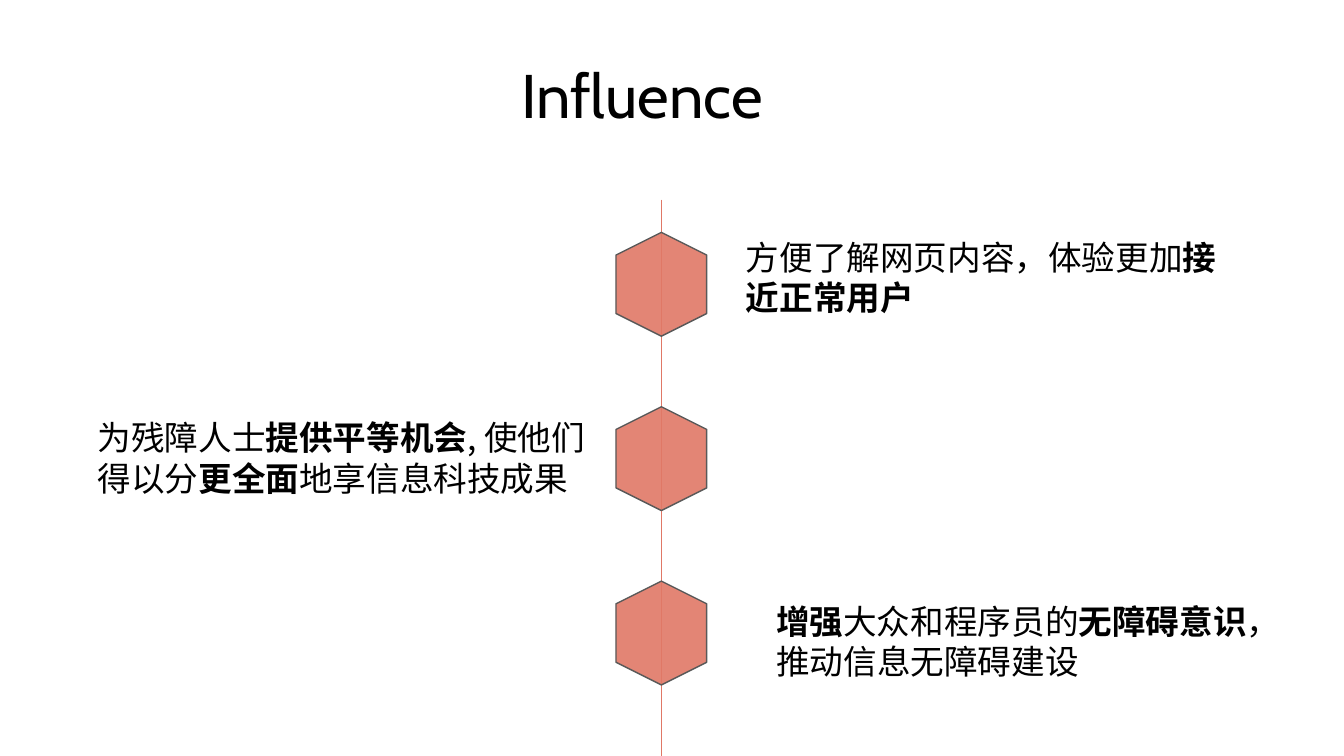
import pptx
import pptx.dml.color
import pptx.enum.shapes
import pptx.enum.text
import pptx.oxml.ns
import pptx.util
from lxml import etree
from pptx.util import Inches

CORAL = "E07866"
GREY = "595959"
BLACK = "000000"
CJK = "Noto Sans CJK SC"


def rgb(value):
    """Turn a hex string into a colour."""
    return pptx.dml.color.RGBColor.from_string(value)


def add_child(parent, tag, **attrs):
    """Append a drawing element to an XML parent."""
    return etree.SubElement(parent, pptx.oxml.ns.qn(tag), **attrs)


def add_text(s, box, runs, size=24, font=CJK, color=BLACK):
    """Add a wrapped text box made of (text, bold) runs."""
    sp = s.shapes.add_textbox(*map(Inches, box))
    tf = sp.text_frame
    tf.word_wrap = True
    tf.auto_size = pptx.enum.text.MSO_AUTO_SIZE.SHAPE_TO_FIT_TEXT
    p = tf.paragraphs[0]
    for text, bold in runs:
        r = p.add_run()
        r.text = text
        r.font.size = pptx.util.Pt(size)
        r.font.bold = bold
        r.font.name = font
        r.font.color.rgb = rgb(color)
        add_child(r.font._element, "a:ea", typeface=font)
    return sp


def add_hexagon(s, center_x, center_y, width=1.03, height=0.9):
    """Add an upright, slightly transparent hexagon around a centre."""
    sp = s.shapes.add_shape(
        pptx.enum.shapes.MSO_SHAPE.HEXAGON,
        Inches(center_x - width / 2), Inches(center_y - height / 2),
        Inches(width), Inches(height))
    sp.rotation = 270
    sp.shadow.inherit = False
    sp.fill.solid()
    sp.fill.fore_color.rgb = rgb(CORAL)
    color = sp.fill._xPr.find(".//" + pptx.oxml.ns.qn("a:srgbClr"))
    add_child(color, "a:alpha", val="90000")
    sp.line.color.rgb = rgb(GREY)
    sp.line.width = pptx.util.Pt(1)


def add_timeline(s, x, top, bottom, count, first=0.84, step=1.73):
    """Add the vertical line and its evenly spaced hexagons."""
    line = s.shapes.add_connector(
        pptx.enum.shapes.MSO_CONNECTOR.STRAIGHT,
        Inches(x), Inches(top), Inches(x), Inches(bottom))
    line.line.color.rgb = rgb(CORAL)
    line.line.width = pptx.util.Pt(1.25)
    add_child(line._element.spPr, "a:effectLst")
    for i in range(count):
        add_hexagon(s, x, top + first + i * step)


def build_influence(prs):
    """Build the slide with the title, timeline and three statements."""
    s = prs.slides.add_slide(prs.slide_layouts[6])
    add_text(s, (5.07, 0.52, 3.2, 0.84), [("Influence", False)],
             size=44, font="Cabin")
    statements = [
        ((7.3, 2.3, 5.17, 0.91),
         [("方便了解网页内容，体验更加", False), ("接近正常用户", True)]),
        ((0.87, 4.09, 5.24, 0.91),
         [("为残障人士", False), ("提供平等机会", True),
          (", 使他们得以分", False), ("更全面", True),
          ("地享信息科技成果", False)]),
        ((7.6, 5.91, 4.98, 0.91),
         [("增强", True), ("大众和程序员的", False),
          ("无障碍意识", True), ("，推动信息无障碍建设", False)]),
    ]
    add_timeline(s, 6.56, 1.98, 7.5, len(statements))
    for box, runs in statements:
        add_text(s, box, runs)


def main():
    """Create and save the presentation."""
    prs = pptx.Presentation()
    prs.slide_width = Inches(13.33)
    prs.slide_height = Inches(7.5)
    build_influence(prs)
    prs.save("out.pptx")


if __name__ == "__main__":
    main()
